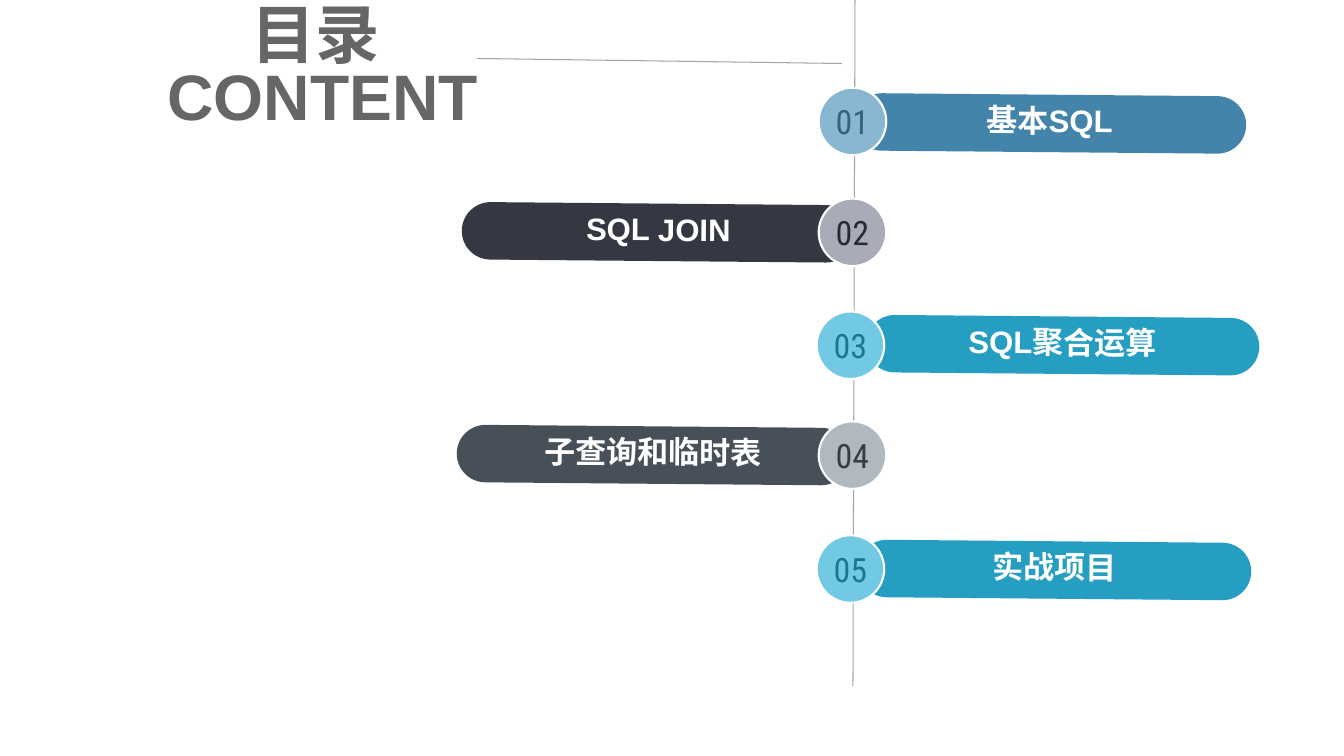
from dataclasses import dataclass

from lxml.etree import SubElement
from pptx import Presentation
from pptx.dml.color import RGBColor
from pptx.enum.shapes import MSO_CONNECTOR, MSO_SHAPE
from pptx.enum.text import MSO_ANCHOR, PP_ALIGN
from pptx.oxml.ns import qn
from pptx.shapes.autoshape import Shape
from pptx.slide import Slide
from pptx.text.text import TextFrame
from pptx.util import Inches, Pt

WHITE = RGBColor(0xFF, 0xFF, 0xFF)
GRAY_LINE = RGBColor(0xA5, 0xA5, 0xA5)
TITLE_GRAY = RGBColor(0x66, 0x66, 0x66)
BLUE = RGBColor(0x43, 0x85, 0xAA)
BLUE_LIGHT = RGBColor(0x89, 0xB6, 0xD0)
BLUE_DARK = RGBColor(0x32, 0x63, 0x7F)
NAVY = RGBColor(0x35, 0x38, 0x42)
NAVY_LIGHT = RGBColor(0xA8, 0xAB, 0xB8)
NAVY_DARK = RGBColor(0x27, 0x2A, 0x31)
CYAN = RGBColor(0x25, 0x9E, 0xC2)
CYAN_LIGHT = RGBColor(0x71, 0xC9, 0xE4)
CYAN_DARK = RGBColor(0x1B, 0x76, 0x91)
SLATE = RGBColor(0x47, 0x50, 0x59)
SLATE_LIGHT = RGBColor(0xB0, 0xB9, 0xC0)
SLATE_DARK = RGBColor(0x35, 0x3C, 0x42)

BAR_W, BAR_H = 3.9, 0.57
CIRCLE = 0.67
TILT = 0.5


@dataclass(frozen=True)
class Chapter:
    title: str
    bar_left: float
    bar_top: float
    circle_left: float
    circle_top: float
    fill: RGBColor
    light: RGBColor
    dark: RGBColor


CHAPTERS = [
    Chapter("基本SQL", 8.46, 0.94, 8.12, 0.87, BLUE, BLUE_LIGHT, BLUE_DARK),
    Chapter("SQL JOIN", 4.58, 2.02, 8.12, 1.97, NAVY, NAVY_LIGHT, NAVY_DARK),
    Chapter("SQL聚合运算", 8.59, 3.14, 8.1, 3.09, CYAN, CYAN_LIGHT, CYAN_DARK),
    Chapter("子查询和临时表", 4.53, 4.23, 8.12, 4.18, SLATE, SLATE_LIGHT, SLATE_DARK),
    Chapter("实战项目", 8.51, 5.37, 8.1, 5.31, CYAN, CYAN_LIGHT, CYAN_DARK),
]


def write_text(tf: TextFrame, text: str, *, size: float, color: RGBColor,
               font: str = "Arial", bold: bool = True, spacing: float = 0.8,
               anchor: MSO_ANCHOR = MSO_ANCHOR.MIDDLE) -> None:
    tf.word_wrap = True
    tf.vertical_anchor = anchor
    p = tf.paragraphs[0]
    p.text = text
    p.alignment = PP_ALIGN.CENTER
    p.line_spacing = spacing
    for r in p.runs:
        r.font.name = font
        r.font.size = Pt(size)
        r.font.bold = bold
        r.font.color.rgb = color


def add_line(s: Slide, x1: float, y1: float, x2: float, y2: float) -> None:
    line = s.shapes.add_connector(
        MSO_CONNECTOR.STRAIGHT, Inches(x1), Inches(y1), Inches(x2), Inches(y2))
    line.line.color.rgb = GRAY_LINE
    line.line.width = Pt(0.75)
    SubElement(line._element.spPr, qn("a:effectLst"))


def add_tilted(s: Slide, kind: MSO_SHAPE, left: float, top: float,
               width: float, height: float, fill: RGBColor) -> Shape:
    sp = s.shapes.add_shape(
        kind, Inches(left), Inches(top), Inches(width), Inches(height))
    sp.rotation = TILT
    sp.shadow.inherit = False
    sp.fill.solid()
    sp.fill.fore_color.rgb = fill
    sp.line.fill.background()
    return sp


def add_chapter(s: Slide, number: int, chapter: Chapter) -> None:
    bar = add_tilted(s, MSO_SHAPE.ROUNDED_RECTANGLE, chapter.bar_left,
                     chapter.bar_top, BAR_W, BAR_H, chapter.fill)
    bar.adjustments[0] = 0.5
    write_text(bar.text_frame, chapter.title, size=22.2, color=WHITE)

    circle = add_tilted(s, MSO_SHAPE.OVAL, chapter.circle_left,
                        chapter.circle_top, CIRCLE, CIRCLE, chapter.light)
    circle.line.color.rgb = WHITE
    circle.line.width = Pt(1.5)
    tf = circle.text_frame
    tf.margin_left = tf.margin_right = tf.margin_top = tf.margin_bottom = 0
    write_text(tf, f"{number:02}", size=24, color=chapter.dark,
               font="Roboto Condensed", bold=False, spacing=1.0)


def main() -> None:
    prs = Presentation()
    prs.slide_width, prs.slide_height = Inches(13.33), Inches(7.5)
    s = prs.slides.add_slide(prs.slide_layouts[6])

    add_line(s, 8.48, 0, 8.46, 6.81)
    add_line(s, 4.73, 0.58, 8.35, 0.63)
    title = s.shapes.add_textbox(
        Inches(1.31), Inches(0.04), Inches(3.78), Inches(1.41))
    write_text(title.text_frame, "目录 \vCONTENT", size=45.9,
               color=TITLE_GRAY, anchor=MSO_ANCHOR.TOP)
    for number, chapter in enumerate(CHAPTERS, start=1):
        add_chapter(s, number, chapter)

    prs.save("out.pptx")


if __name__ == "__main__":
    main()
